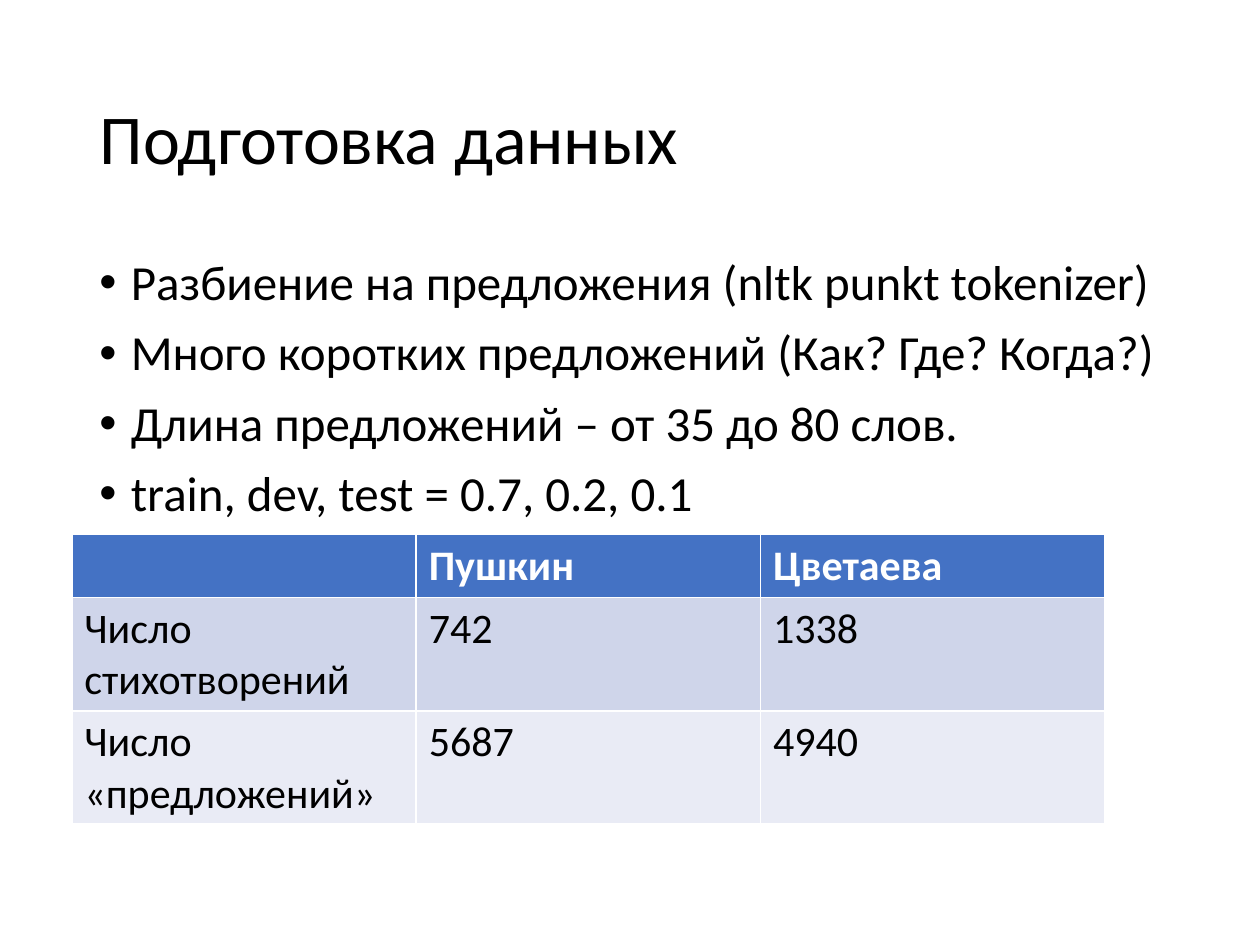
import pptx
import pptx.dml.color
import pptx.enum.text
import pptx.oxml.ns
import pptx.util
from lxml import etree

Inches = pptx.util.Inches
Pt = pptx.util.Pt
RGBColor = pptx.dml.color.RGBColor

BLACK = RGBColor(0x00, 0x00, 0x00)
WHITE = RGBColor(0xFF, 0xFF, 0xFF)
HEADER_BLUE = RGBColor(0x44, 0x72, 0xC4)
BAND_DARK = RGBColor(0xCF, 0xD5, 0xEA)
BAND_LIGHT = RGBColor(0xE9, 0xEB, 0xF5)

POINTS = [
    "Разбиение на предложения (nltk punkt tokenizer)",
    "Много коротких предложений (Как? Где? Когда?)",
    "Длина предложений – от 35 до 80 слов.",
    "train, dev, test = 0.7, 0.2, 0.1",
]
COUNTS = [
    ["", "Пушкин", "Цветаева"],
    ["Число стихотворений", "742", "1338"],
    ["Число «предложений»", "5687", "4940"],
]


class SlideBuilder:
    font_name = "Calibri"
    line_spacing = 0.9

    def __init__(self, page):
        self.page = page

    def add_span(self, para, text, size, color=BLACK, bold=False):
        span = para.add_run()
        span.text = text
        span.font.name = self.font_name
        span.font.size = Pt(size)
        span.font.bold = bold
        span.font.color.rgb = color

    def set_title(self, text, left, top, width, height):
        title = self.page.shapes.title
        title.left, title.top = Inches(left), Inches(top)
        title.width, title.height = Inches(width), Inches(height)
        title.text_frame.vertical_anchor = pptx.enum.text.MSO_ANCHOR.MIDDLE
        para = title.text_frame.paragraphs[0]
        para.alignment = pptx.enum.text.PP_ALIGN.LEFT
        para.line_spacing = self.line_spacing
        self.add_span(para, text, 40)

    def add_bullets(self, lines, left, top, width, height):
        box = self.page.shapes.add_textbox(
            Inches(left), Inches(top), Inches(width), Inches(height))
        frame = box.text_frame
        frame.word_wrap = True
        for index, line in enumerate(lines):
            para = frame.add_paragraph() if index else frame.paragraphs[0]
            properties = para._p.get_or_add_pPr()
            properties.set("marL", str(Inches(0.25)))
            properties.set("indent", str(-Inches(0.25)))
            font = etree.SubElement(properties, pptx.oxml.ns.qn("a:buFont"))
            font.set("typeface", "Arial")
            bullet = etree.SubElement(properties, pptx.oxml.ns.qn("a:buChar"))
            bullet.set("char", "•")
            para.line_spacing = self.line_spacing
            if index:
                para.space_before = Pt(10)
            self.add_span(para, line, 28)

    def add_table(self, rows, left, top, width, row_height):
        table = self.page.shapes.add_table(
            len(rows), len(rows[0]), Inches(left), Inches(top),
            Inches(width), Inches(row_height * len(rows))).table
        fills = [HEADER_BLUE, BAND_DARK, BAND_LIGHT]
        for row_index, (row, fill) in enumerate(zip(rows, fills)):
            is_header = row_index == 0
            for column_index, text in enumerate(row):
                cell = table.cell(row_index, column_index)
                cell.fill.solid()
                cell.fill.fore_color.rgb = fill
                if text:
                    self.add_span(cell.text_frame.paragraphs[0], text, 24,
                                  WHITE if is_header else BLACK, is_header)


def main():
    deck = pptx.Presentation()
    deck.slide_width, deck.slide_height = Inches(10), Inches(7.5)
    builder = SlideBuilder(deck.slides.add_slide(deck.slide_layouts[5]))
    builder.set_title("Подготовка данных", 0.69, 0.4, 8.62, 1.45)
    builder.add_bullets(POINTS, 0.69, 2, 8.62, 4.76)
    builder.add_table(COUNTS, 0.57, 4.24, 8.2, 0.41)
    deck.save("out.pptx")


if __name__ == "__main__":
    main()
